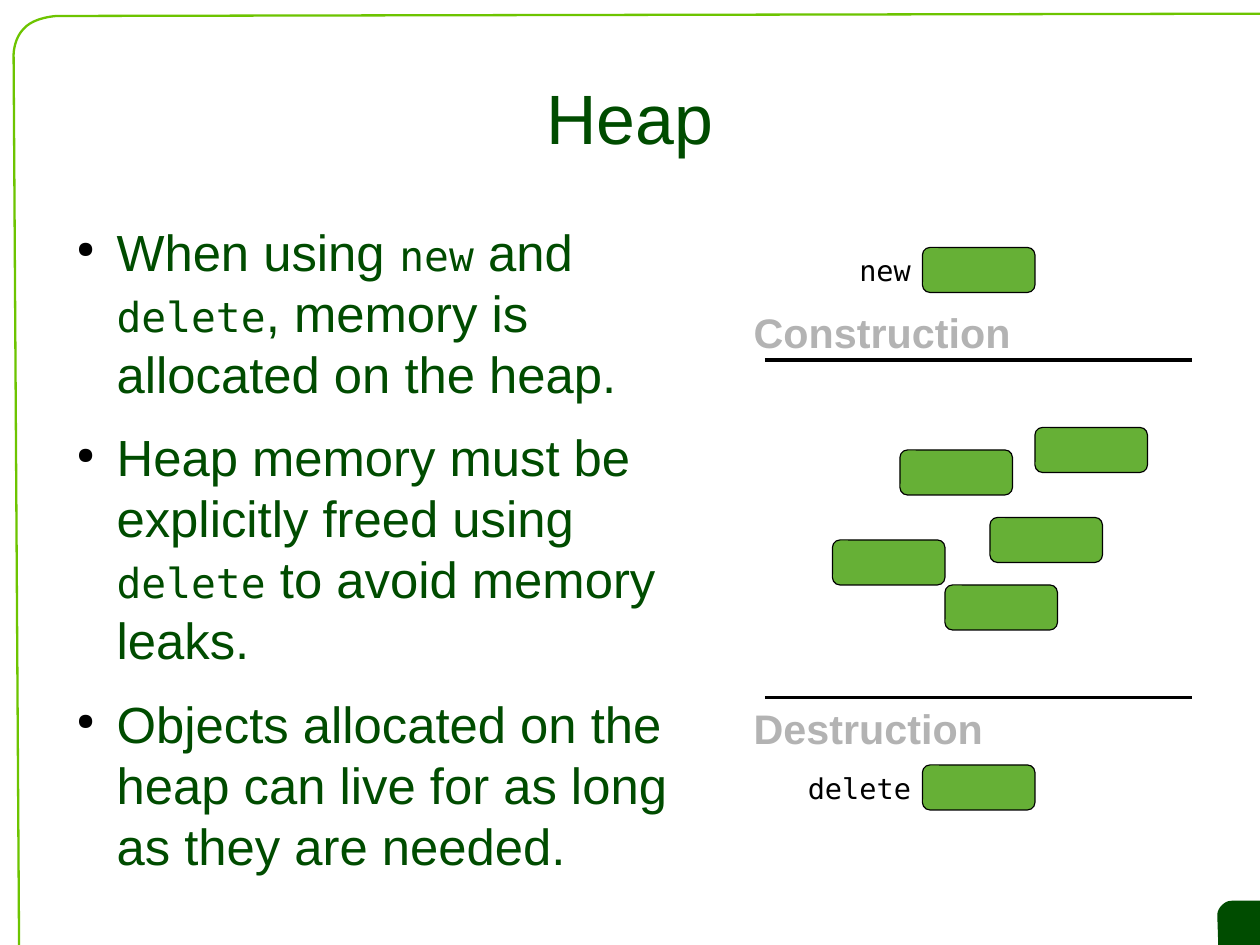
"""Build the slide on heap memory, with its allocation diagram."""
from lxml import etree
from pptx import Presentation
from pptx import util as u
from pptx.dml.color import RGBColor
from pptx.enum import shapes, text
from pptx.oxml import ns

DARK_GREEN = RGBColor(0x00, 0x4C, 0x00)
BRIGHT_GREEN = RGBColor(0x6D, 0xC4, 0x00)
BLOCK_GREEN = RGBColor(0x66, 0xB0, 0x36)
GREY = RGBColor(0xB3, 0xB3, 0xB3)
BLACK = RGBColor(0, 0, 0)
SANS, MONO = "Arial", "DejaVu Sans Mono"

TITLE = "Heap"
BULLETS = [
    [("When using ", SANS), ("new", MONO), (" and ", SANS), ("delete", MONO),
     (", memory is allocated on the heap.", SANS)],
    [("Heap memory must be explicitly freed using ", SANS), ("delete", MONO),
     (" to avoid memory leaks.", SANS)],
    [("Objects allocated on the heap can live for as long as they are needed.", SANS)],
]
BODY_SIZES = {SANS: 32, MONO: 26}

GRID = 14.173
BLOCKS = [(41, 11), (41, 34), (44, 23), (40, 20), (42, 26), (37, 24), (46, 19)]
DIVIDER_ROWS = [16, 31]
DIVIDER_START, DIVIDER_END = 34, 53
LABELS = [
    ("new", 534.2, 155.9, 46.8, 28.35, MONO, 18, BLACK),
    ("delete", 501.8, 481.9, 79.2, 28.35, MONO, 18, BLACK),
    ("Construction", 467.7, 190.1, 176.4, 36, SANS, 26, GREY),
    ("Destruction", 467.7, 439.4, 159.1, 36, SANS, 26, GREY),
]

TAB_OUTLINE = [
    [(777.6, 567.4)], [(799.2, 567.4)], [(799.2, 598.3)], [(767.5, 597.6)], [(766.8, 576.7)],
    [(766.8, 576), (766.8, 573.1), (769.7, 570.2)],
    [(772.6, 567.4), (774.7, 567.4), (777.6, 567.4)],
]
FRAME_OUTLINE = [
    [(36, 10.1)],
    [(35.3, 10.1), (21.6, 10.8), (15.1, 18)],
    [(8.6, 24.5), (8.6, 34.6), (8.6, 34.6)],
    [(12.2, 615.6)], [(815.8, 617)], [(811.4, 8.6)],
]
CURVE_STEPS = 12


def curve_points(start, first, second, end):
    """Return points along a cubic curve, without its start."""
    points = []
    for step in range(1, CURVE_STEPS + 1):
        t = step / CURVE_STEPS
        weights = ((1 - t) ** 3, 3 * t * (1 - t) ** 2, 3 * t * t * (1 - t), t ** 3)
        corners = (start, first, second, end)
        points.append(tuple(sum(w * c[axis] for w, c in zip(weights, corners))
                            for axis in (0, 1)))
    return points


def add_outline(page, segments):
    """Draw a closed outline of straight and curved segments."""
    points = list(segments[0])
    for segment in segments[1:]:
        points += curve_points(points[-1], *segment) if len(segment) == 3 else segment
    places = [(u.Pt(x), u.Pt(y)) for x, y in points]
    builder = page.shapes.build_freeform(*places[0])
    builder.add_line_segments(places[1:], close=True)
    outline = builder.convert_to_shape()
    outline.shadow.inherit = False
    return outline


def add_box(page, left, top, width, height, wrap=True):
    """Add a text box and return its text frame."""
    box = page.shapes.add_textbox(u.Pt(left), u.Pt(top), u.Pt(width), u.Pt(height))
    frame = box.text_frame
    frame.word_wrap = wrap
    if wrap:
        frame.margin_left = frame.margin_right = frame.margin_top = frame.margin_bottom = 0
    return frame


def style(font, name, size, color):
    """Set the name, size and colour of a font."""
    font.name, font.size = name, u.Pt(size)
    font.color.rgb = color


def add_bullet(para):
    """Give a paragraph a small black dot and a hanging indent."""
    props = para._p.get_or_add_pPr()
    props.set("marL", str(u.Pt(33.84)))
    props.set("indent", str(u.Pt(-25.2)))
    color = etree.SubElement(props, ns.qn("a:buClr"))
    etree.SubElement(color, ns.qn("a:srgbClr"), val=str(BLACK))
    etree.SubElement(props, ns.qn("a:buSzPct"), val="45000")
    etree.SubElement(props, ns.qn("a:buChar"), char="●")


def add_title(page):
    """Add the centred title."""
    frame = add_box(page, 39.6, 27.4, 714.2, 92.2)
    frame.vertical_anchor = text.MSO_ANCHOR.MIDDLE
    para = frame.paragraphs[0]
    para.text = TITLE
    para.alignment = text.PP_ALIGN.CENTER
    style(para.font, SANS, 44, DARK_GREEN)


def add_body(page):
    """Add the bulleted text."""
    frame = add_box(page, 39.6, 139, 399.6, 387.4)
    for index, spans in enumerate(BULLETS):
        para = frame.paragraphs[0] if index == 0 else frame.add_paragraph()
        add_bullet(para)
        para.space_after = u.Pt(14.2)
        para.line_spacing = u.Pt(38.4)
        for wording, font_name in spans:
            span = para.add_run()
            span.text = wording
            style(span.font, font_name, BODY_SIZES[font_name], DARK_GREEN)


def add_diagram(page):
    """Add the memory blocks, dividers and labels."""
    for column, row in BLOCKS:
        block = page.shapes.add_shape(
            shapes.MSO_SHAPE.ROUNDED_RECTANGLE,
            *(u.Pt(GRID * units) for units in (column, row, 5, 2)))
        block.shadow.inherit = False
        block.fill.solid()
        block.fill.fore_color.rgb = BLOCK_GREEN
        block.line.color.rgb = BLACK
        block.line.width = u.Pt(0)
    for row in DIVIDER_ROWS:
        divider = page.shapes.add_connector(
            shapes.MSO_CONNECTOR.STRAIGHT,
            *(u.Pt(GRID * units) for units in (DIVIDER_START, row, DIVIDER_END, row)))
        divider.line.color.rgb = BLACK
        divider.line.width = u.Pt(0)
        etree.SubElement(divider._element.spPr, ns.qn("a:effectLst"))
    for wording, left, top, width, height, font_name, size, color in LABELS:
        para = add_box(page, left, top, width, height, wrap=False).paragraphs[0]
        para.text = wording
        style(para.font, font_name, size, color)
        para.font.bold = color == GREY


def main():
    """Build and save the deck."""
    deck = Presentation()
    deck.slide_width, deck.slide_height = u.Pt(793.7), u.Pt(595.28)
    page = deck.slides.add_slide(deck.slide_layouts[6])
    tab = add_outline(page, TAB_OUTLINE)
    tab.fill.solid()
    tab.fill.fore_color.rgb = DARK_GREEN
    tab.line.fill.background()
    border = add_outline(page, FRAME_OUTLINE)
    border.fill.background()
    border.line.color.rgb = BRIGHT_GREEN
    border.line.width = u.Pt(1.45)
    add_title(page)
    add_body(page)
    add_diagram(page)
    deck.save("out.pptx")


if __name__ == "__main__":
    main()
